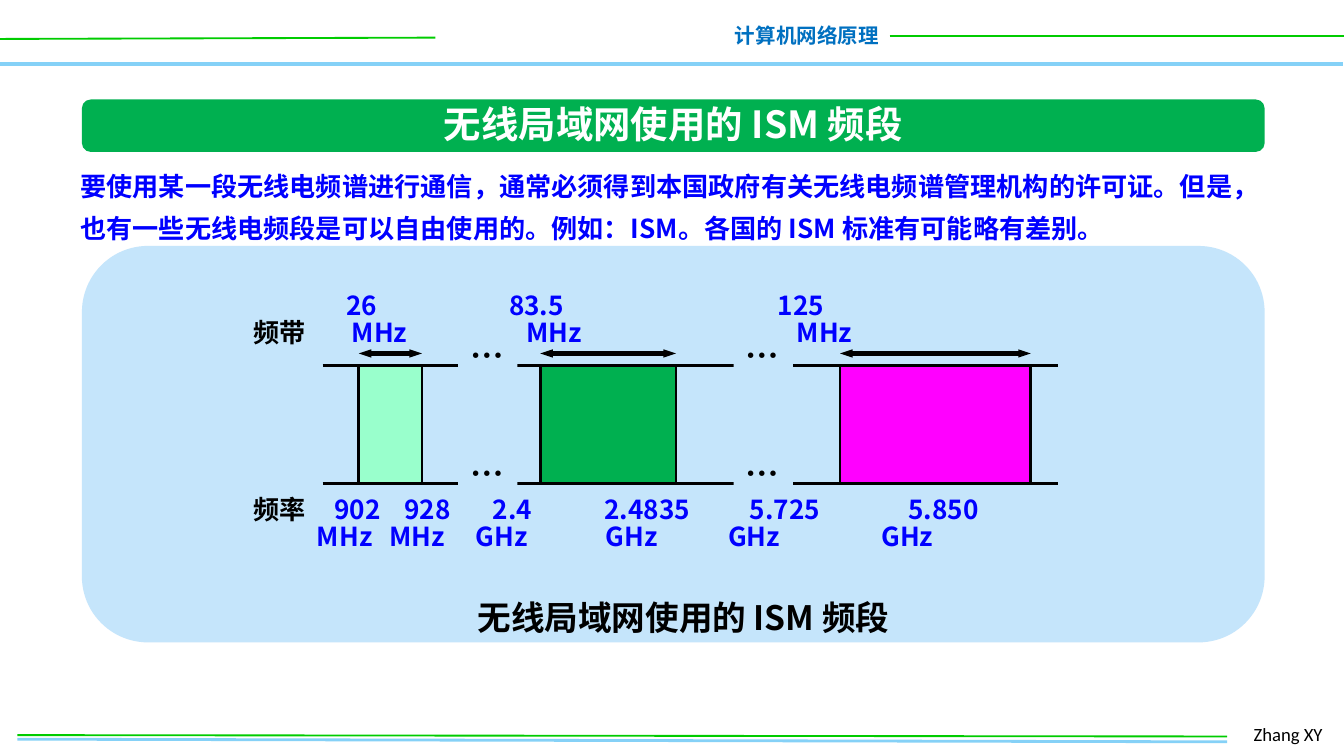
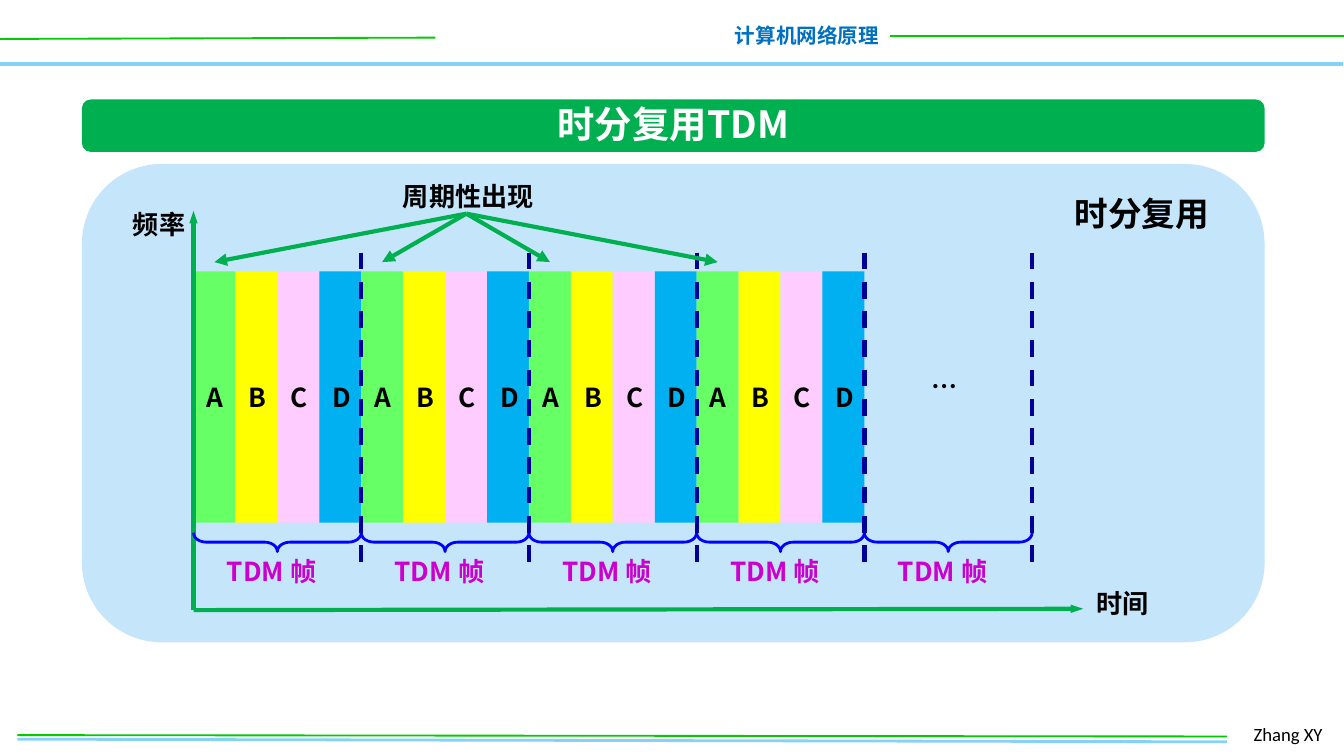
from lxml import etree
from pptx import Presentation
from pptx.dml.color import RGBColor
from pptx.enum.dml import MSO_LINE
from pptx.enum.shapes import MSO_CONNECTOR, MSO_SHAPE
from pptx.enum.text import MSO_ANCHOR, MSO_AUTO_SIZE, PP_ALIGN
from pptx.oxml.ns import qn
from pptx.util import Inches, Pt

RECT, ROUND, BRACE = MSO_SHAPE.RECTANGLE, MSO_SHAPE.ROUNDED_RECTANGLE, MSO_SHAPE.LEFT_BRACE
LEFT, CENTER, RIGHT = PP_ALIGN.LEFT, PP_ALIGN.CENTER, PP_ALIGN.RIGHT
TOP, MIDDLE = MSO_ANCHOR.TOP, MSO_ANCHOR.MIDDLE

FONT = "Noto Sans CJK SC"
COLOURS = {
    "black": "000000", "white": "FFFFFF", "header": "0070C0", "sky": "85D1F7",
    "lime": "00CC00", "green": "00B050", "panel": "C5E5FB", "blue": "0000FF",
    "mint": "99FFCC", "magenta": "FF00FF", "navy": "000099", "purple": "CC00CC",
    "slot A": "66FF66", "slot B": "FFFF00", "slot C": "FFCCFF", "slot D": "00B0F0",
}

deck = Presentation()
deck.slide_width = Inches(10)
deck.slide_height = deck.slide_width * 9 // 16

# Grid: 100 columns by 56.25 rows, so the cells are square
COLUMN = deck.slide_width / 100
ROW = deck.slide_height / 56.25


def add_box(page, area, text="", size=14, colour="black", align=LEFT, spacing=1.0,
            wrap=False, bold=True, font=FONT, anchor=TOP, preset=None, fill=None,
            title=False):
    """Place a text box, a preset shape or the title; area is in grid units."""
    left, top, width, height = area
    place = [int(n) for n in (left * COLUMN, top * ROW, width * COLUMN, height * ROW)]
    if title:
        box = page.shapes.title
        box.left, box.top, box.width, box.height = place
        page.shapes.element.append(box.element)  # bring above the bar
    elif preset is None:
        box = page.shapes.add_textbox(*place)
    else:
        box = page.shapes.add_shape(preset, *place)
        box.shadow.inherit = False
        box.line.fill.background()
        if fill:
            box.fill.solid()
            box.fill.fore_color.rgb = RGBColor.from_string(COLOURS[fill])
        else:
            box.fill.background()
    if text:
        frame = box.text_frame
        frame.auto_size = MSO_AUTO_SIZE.NONE
        frame.word_wrap = wrap
        frame.vertical_anchor = anchor
        para = frame.paragraphs[0]
        para.alignment = align
        para.line_spacing = spacing
        span = para.add_run()
        span.text = text
        span.font.size = Pt(size)
        span.font.bold = bold
        span.font.color.rgb = RGBColor.from_string(COLOURS[colour])
        span.font.name = font
        etree.SubElement(span.font._element, qn("a:ea"), typeface=font)
    return box


def draw_line(page, start, end, colour, width, heads=(), head_width="sm", dashed=False):
    """Draw a straight connector between two grid points."""
    line = page.shapes.add_connector(
        MSO_CONNECTOR.STRAIGHT, int(start[0] * COLUMN), int(start[1] * ROW),
        int(end[0] * COLUMN), int(end[1] * ROW))
    line.line.color.rgb = RGBColor.from_string(COLOURS[colour])
    line.line.width = Pt(width)
    if dashed:
        line.line.dash_style = MSO_LINE.DASH
    properties = line.element.spPr
    for head in heads:
        etree.SubElement(properties.find(qn("a:ln")), qn("a:" + head),
                         type="triangle", w=head_width, len="med")
    etree.SubElement(properties, qn("a:effectLst"))


# Shared parts: header, footer, panel and title bar
pages = []
for title, panel_top in (("无线局域网使用的 ISM 频段", 18.3), ("时分复用TDM", 12.2)):
    page = deck.slides.add_slide(deck.slide_layouts[5])
    pages.append(page)
    for start, end, colour, width in (
        ((-0.1, 4.75), (99.9, 4.75), "sky", 2),
        ((0, 2.9), (32.4, 2.8), "lime", 1),
        ((66.2, 2.7), (100.1, 2.7), "lime", 1),
        ((1.3, 55), (91.3, 55.2), "sky", 1.5),
        ((1.3, 54.7), (91.3, 54.8), "lime", 1),
    ):
        draw_line(page, start, end, colour, width)
    add_box(page, (53.6, 1.2, 12.8, 2.9), "计算机网络原理", 11, "header", RIGHT)
    add_box(page, (92.3, 53.3, 7.4, 2.7), "Zhang XY", 10, bold=False, font="Calibri")
    add_box(page, (6.1, panel_top, 88, 47.8 - panel_top), preset=ROUND, fill="panel")
    add_box(page, (6.1, 7.4, 88, 3.9), preset=ROUND, fill="green")
    add_box(page, (6.1, 7, 88, 4.4), title, 20, "white", CENTER, anchor=MIDDLE, title=True)

ism, tdm = pages

# ISM: introduction and caption
add_box(ism, (5, 11.5, 90, 6.9),
        "要使用某一段无线电频谱进行通信，通常必须得到本国政府有关无线电频谱管理机构的许可证。"
        "但是，也有一些无线电频段是可以自由使用的。例如：ISM。各国的 ISM 标准有可能略有差别。",
        colour="blue", spacing=Pt(22), wrap=True)
add_box(ism, (29.4, 43.9, 42.9, 4), "无线局域网使用的 ISM 频段", 18, align=CENTER)

# ISM: bandwidths above the bands, frequencies below; each row is (top, labels)
label_rows = (
    (21.4, ((24.8, "26"), (36.9, "83.5"), (56.9, "125"))),
    (23.4, ((17.9, "频带"), (25.2, "MHz"), (38.2, "MHz"), (58.3, "MHz"))),
    (36.6, ((17.9, "频率"), (23.9, "902"), (29.1, "928"), (35.7, "2.4"),
            (44, "2.4835"), (54.8, "5.725"), (66.6, "5.850"))),
    (38.6, ((22.6, "MHz"), (28, "MHz"), (34.4, "GHz"), (44.1, "GHz"),
            (53.2, "GHz"), (64.6, "GHz"))),
)
for top, labels in label_rows:
    for left, text in labels:
        colour = "black" if text.startswith("频") else "blue"
        add_box(ism, (left, top, 9, 3), text, colour=colour, spacing=0.85)

# ISM: spectrum rails, bands and their width arrows
BAND_TOP, BAND_BOTTOM = 27.2, 36
for rail in (BAND_TOP, BAND_BOTTOM):
    draw_line(ism, (24, rail), (78.7, rail), "black", 1.5)
for left, width, fill in ((26.7, 4.7, "mint"), (40.2, 10.1, "green"), (62.5, 14.2, "magenta")):
    band = add_box(ism, (left, BAND_TOP, width, BAND_BOTTOM - BAND_TOP), preset=RECT, fill=fill)
    band.line.color.rgb = RGBColor.from_string(COLOURS["black"])
    band.line.width = Pt(1.5)
    draw_line(ism, (left, 26.3), (left + width, 26.3), "black", 2.25, ("headEnd", "tailEnd"))

# ISM: breaks in the rails
for left in (34.1, 54.6):
    for rail in (BAND_BOTTOM, BAND_TOP):
        add_box(ism, (left, rail - 0.8, 4.4, 1.7), preset=RECT, fill="panel")
        add_box(ism, (left - 0.1, rail - 2.8, 4.5, 4), "…", 18)

# TDM: time slots, four to a frame
ORIGIN, FRAME, SLOTS = 14.4, 12.48, "ABCD"
SLOT = FRAME / len(SLOTS)
frame_starts = [ORIGIN + FRAME * number for number in range(5)]
for start in frame_starts[:4]:
    for number, name in enumerate(SLOTS):
        add_box(tdm, (start + SLOT * number, 20.2, SLOT, 18.7), name, anchor=MIDDLE,
                preset=RECT, fill="slot " + name)

# TDM: axes
for end in ((80.6, 45.3), (ORIGIN, 15.7)):
    draw_line(tdm, (ORIGIN, 45.4), end, "green", 2.25, ("tailEnd",))

# TDM: frame braces, names and dividers
for start in frame_starts:
    add_box(tdm, (start + 1.5, 41.1, 9.4, 3.1), "TDM 帧", colour="purple", spacing=0.9)
    brace = add_box(tdm, (start + FRAME / 2 - 0.7, 34.1, 1.4, FRAME), preset=BRACE)
    brace.rotation = 270
    brace.adjustments[0] = 0.67
    brace.line.color.rgb = RGBColor.from_string(COLOURS["blue"])
    brace.line.width = Pt(1.5)
    draw_line(tdm, (start + FRAME, 18.8), (start + FRAME, 42.5), "navy", 2.25, dashed=True)

# TDM: labels
for left, top, width, text in (
    (8.9, 15.3, 5.9, "频率"), (80.6, 43.5, 5.9, "时间"), (29, 13.2, 11.8, "周期性出现"),
):
    add_box(tdm, (left, top, width, 3.1), text, spacing=0.9)
add_box(tdm, (68.3, 27.1, 3.9, 3.3), "…")
add_box(tdm, (78.9, 13.9, 12.1, 4), "时分复用", 18, align=CENTER)

# TDM: arrows to each slot A
for start in frame_starts[:4]:
    draw_line(tdm, (34.7, 15.9), (start + SLOT / 2, 19.5), "green", 2.25, ("tailEnd",), "med")

deck.save("out.pptx")
